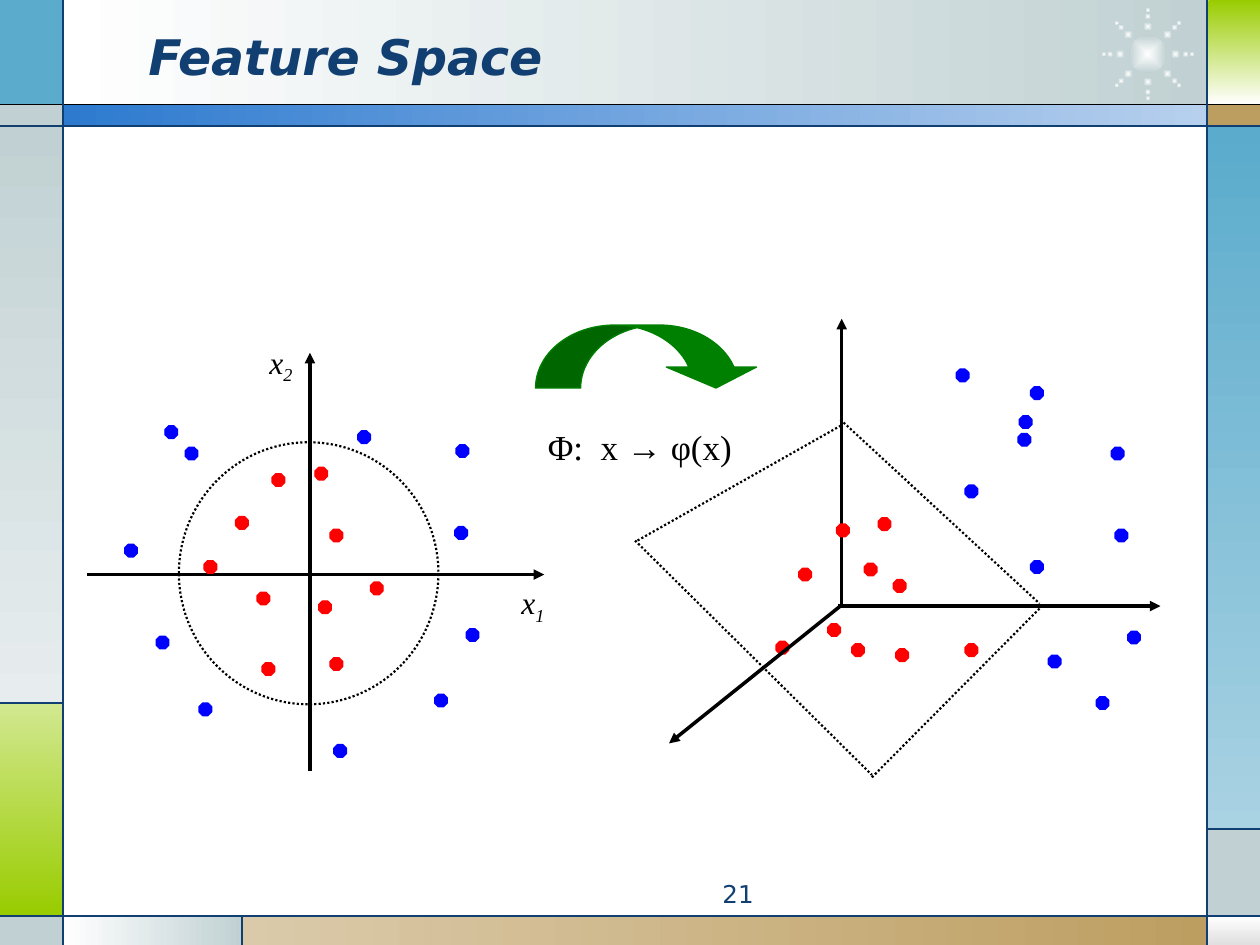
from math import cos, radians, sin

from lxml import etree
from pptx import Presentation
from pptx.dml.color import RGBColor
from pptx.enum.dml import MSO_LINE
from pptx.enum.shapes import MSO_CONNECTOR, MSO_SHAPE
from pptx.enum.text import MSO_ANCHOR, PP_ALIGN
from pptx.oxml.ns import qn
from pptx.util import Inches, Pt

RECTANGLE, OVAL, OCTAGON = MSO_SHAPE.RECTANGLE, MSO_SHAPE.OVAL, MSO_SHAPE.OCTAGON
CURVED_ARROW = MSO_SHAPE.CURVED_DOWN_ARROW
STRAIGHT = MSO_CONNECTOR.STRAIGHT
DOTTED = MSO_LINE.ROUND_DOT
MIDDLE, TOP = MSO_ANCHOR.MIDDLE, MSO_ANCHOR.TOP
LEFT, RIGHT = PP_ALIGN.LEFT, PP_ALIGN.RIGHT
rgb = RGBColor.from_string

NAVY, BLACK, WHITE, MIST = "113F71", "000000", "FFFFFF", "C1D1D3"
SKY, LIME, TAN = "5AABCC", "99CC00", "BD9E61"
RED, BLUE, GREEN = "FF0000", "0000FF", "008000"
ACROSS, DOWN, OUTWARD = 0, 270, None

presentation = Presentation()
presentation.slide_width, presentation.slide_height = Inches(10), Inches(7.5)
slide = presentation.slides.add_slide(presentation.slide_layouts[6])
shapes = slide.shapes


def add_filled(kind, box, colours, direction=ACROSS, outline=None):
    """Add a shape with one fill colour, or a gradient when two are given."""
    shape = shapes.add_shape(kind, *map(Inches, box))
    shape.shadow.inherit = False
    if len(colours) == 1:
        shape.fill.solid()
        shape.fill.fore_color.rgb = rgb(colours[0])
    else:
        shape.fill.gradient()
        for stop, colour in zip(shape.fill.gradient_stops, colours):
            stop.color.rgb = rgb(colour)
        if direction is OUTWARD:
            gradient = shape._element.spPr.find(qn("a:gradFill"))
            gradient.remove(gradient.find(qn("a:lin")))
            radial = etree.SubElement(gradient, qn("a:path"))
            radial.set("path", "shape")
            centre = etree.SubElement(radial, qn("a:fillToRect"))
            for side in "ltrb":
                centre.set(side, "50000")
        else:
            shape.fill.gradient_angle = direction
    if outline:
        shape.line.color.rgb = rgb(outline)
        shape.line.width = Pt(0.75)
    else:
        shape.line.fill.background()
    return shape


def add_line(start, end, colour, width, dash=None, arrow=False):
    line = shapes.add_connector(STRAIGHT, *map(Inches, (*start, *end)))
    line.line.color.rgb = rgb(colour)
    line.line.width = Pt(width)
    if dash:
        line.line.dash_style = dash
    if arrow:
        etree.SubElement(line.line._get_or_add_ln(), qn("a:tailEnd")).set("type", "triangle")
    etree.SubElement(line._element.spPr, qn("a:effectLst"))


# Frame panels
panels = [
    ((0.5, 0, 9.09, 0.84), (WHITE, MIST), ACROSS),
    ((0, 0, 0.5, 0.84), (SKY,), ACROSS),
    ((0, 0.83, 0.5, 0.17), (MIST,), ACROSS),
    ((0, 1, 0.5, 4.58), (MIST, "E7EDEE"), DOWN),
    ((0, 5.58, 0.5, 1.69), ("D2E890", LIME), DOWN),
    ((0, 7.27, 0.5, 0.23), (MIST,), ACROSS),
    ((0.5, 7.27, 1.42, 0.23), (WHITE, MIST), ACROSS),
    ((1.92, 7.27, 7.67, 0.23), ("DBCAAA", TAN), ACROSS),
    ((9.59, 7.27, 0.41, 0.23), (WHITE, "E0E0E0"), DOWN),
    ((9.58, 6.58, 0.42, 0.69), (MIST,), ACROSS),
    ((9.58, 1, 0.42, 5.58), (SKY, "A9D2E3"), DOWN),
    ((9.58, 0.83, 0.42, 0.17), (TAN,), ACROSS),
    ((9.59, 0, 0.41, 0.83), (LIME, WHITE), DOWN),
    ((0.5, 0.83, 9.09, 0.17), ("2D7ACF", "B7D0EE"), ACROSS),
]
for box, colours, direction in panels:
    add_filled(RECTANGLE, box, colours, direction)

# Starburst: a core and eight rays of shrinking dots
star_x, star_y = 9.11, 0.43
star_dots = [(0, 0, 0.3)]
for angle in range(0, 360, 45):
    star_dots += [(angle, radius, size)
                  for radius, size in ((0.22, 0.07), (0.3, 0.05), (0.35, 0.04))]
for angle, radius, size in star_dots:
    left = star_x + radius * cos(radians(angle)) - size / 2
    top = star_y + radius * sin(radians(angle)) - size / 2
    add_filled(OVAL, (left, top, size, size), (WHITE, MIST), OUTWARD)

# Frame rules
add_line((0, 0.83), (10, 0.83), BLACK, 0.75)
frame_rules = [
    ((0, 1), (10, 1)), ((0, 7.27), (10, 7.27)),
    ((0.5, 0), (0.5, 7.5)), ((9.58, 0), (9.58, 7.5)),
    ((0, 5.58), (0.5, 5.58)), ((1.92, 7.27), (1.92, 7.5)), ((9.58, 6.58), (10, 6.58)),
]
for start, end in frame_rules:
    add_line(start, end, NAVY, 0.75)

# Axes of both spaces
axes = [
    ((6.68, 4.79), (6.68, 2.53)), ((6.65, 4.81), (9.21, 4.81)),
    ((2.46, 6.12), (2.46, 2.8)), ((0.69, 4.56), (4.32, 4.56)),
]
for start, end in axes:
    add_line(start, end, BLACK, 2, arrow=True)

# Data points of both classes, by top left corner
input_points = {
    RED: [(2.5, 3.71), (1.87, 4.1), (2.04, 4.7), (2.62, 5.22), (2.16, 3.76),
          (1.62, 4.45), (2.08, 5.26), (2.62, 4.2), (2.94, 4.62), (2.53, 4.77)],
    BLUE: [(3.61, 4.18), (3.45, 5.51), (0.99, 4.32), (2.65, 5.91), (3.7, 4.99), (1.58, 5.58),
           (1.24, 5.05), (1.31, 3.38), (2.84, 3.42), (1.47, 3.55), (3.62, 3.53)],
}
feature_points = {
    RED: [(6.97, 4.11), (6.34, 4.51), (6.76, 5.11), (7.66, 5.11), (6.64, 4.16),
          (6.86, 4.47), (7.11, 5.15), (7.09, 4.6), (6.57, 4.95), (6.16, 5.09)],
    BLUE: [(8.85, 4.2), (8.7, 5.53), (8.18, 3.07), (8.18, 4.45), (8.95, 5.01), (7.66, 3.85),
           (8.32, 5.2), (8.09, 3.3), (8.08, 3.44), (7.59, 2.93), (8.82, 3.55)],
}
for points in (input_points, feature_points):
    for colour, corners in points.items():
        for left, top in corners:
            add_filled(OCTAGON, (left, top, 0.1, 0.1), (colour,), outline=colour)

# Depth axis and separating plane
add_line((6.67, 4.81), (5.31, 5.9), BLACK, 2, arrow=True)
plane_edges = [
    ((6.67, 3.33), (8.25, 4.79)), ((6.92, 6.17), (8.25, 4.83)),
    ((5.06, 4.29), (6.67, 3.38)), ((5.04, 4.29), (6.92, 6.15)),
]
for start, end in plane_edges:
    add_line(start, end, BLACK, 1.25, DOTTED)

# Separating circle
circle = shapes.add_shape(OVAL, *map(Inches, (1.42, 3.51, 2.06, 2.08)))
circle.shadow.inherit = False
circle.fill.background()
circle.line.color.rgb = rgb(BLACK)
circle.line.width = Pt(1.25)
circle.line.dash_style = DOTTED

# Mapping arrow
mapping_arrow = add_filled(CURVED_ARROW, (4.25, 2.58, 1.79, 0.5), (GREEN,), outline=GREEN)
for index, value in enumerate((0.717, 1.433, 0.333)):
    mapping_arrow.adjustments[index] = value

# Texts; a second run is a subscript
title_font = {"name": "DejaVu Sans", "size": Pt(28), "bold": True, "italic": True}
number_font = {"name": "DejaVu Sans", "size": Pt(14)}
axis_font = {"name": "Times New Roman", "size": Pt(18), "italic": True}
mapping_font = {"name": "Times New Roman", "size": Pt(20)}
texts = [
    ((1.08, 0.13, 7.33, 0.62), ("Feature Space",), title_font, NAVY, LEFT, MIDDLE),
    ((3.75, 6.93, 2.33, 0.27), ("21",), number_font, NAVY, RIGHT, TOP),
    ((4.04, 4.58, 0.5, 0.4), ("x", "1"), axis_font, BLACK, LEFT, TOP),
    ((2.04, 2.67, 0.5, 0.4), ("x", "2"), axis_font, BLACK, LEFT, TOP),
    ((4.25, 3.33, 2.08, 0.43), ("Φ:  x → φ(x)",), mapping_font, BLACK, LEFT, TOP),
]
for box, runs, font_format, colour, alignment, anchor in texts:
    frame = shapes.add_textbox(*map(Inches, box)).text_frame
    frame.word_wrap = True
    frame.vertical_anchor = anchor
    paragraph = frame.paragraphs[0]
    paragraph.alignment = alignment
    for position, text in enumerate(runs):
        run = paragraph.add_run()
        run.text = text
        run.font.color.rgb = rgb(colour)
        for attribute, value in font_format.items():
            setattr(run.font, attribute, value)
        if position:
            run.font._element.set("baseline", "-25000")

presentation.save("out.pptx")
